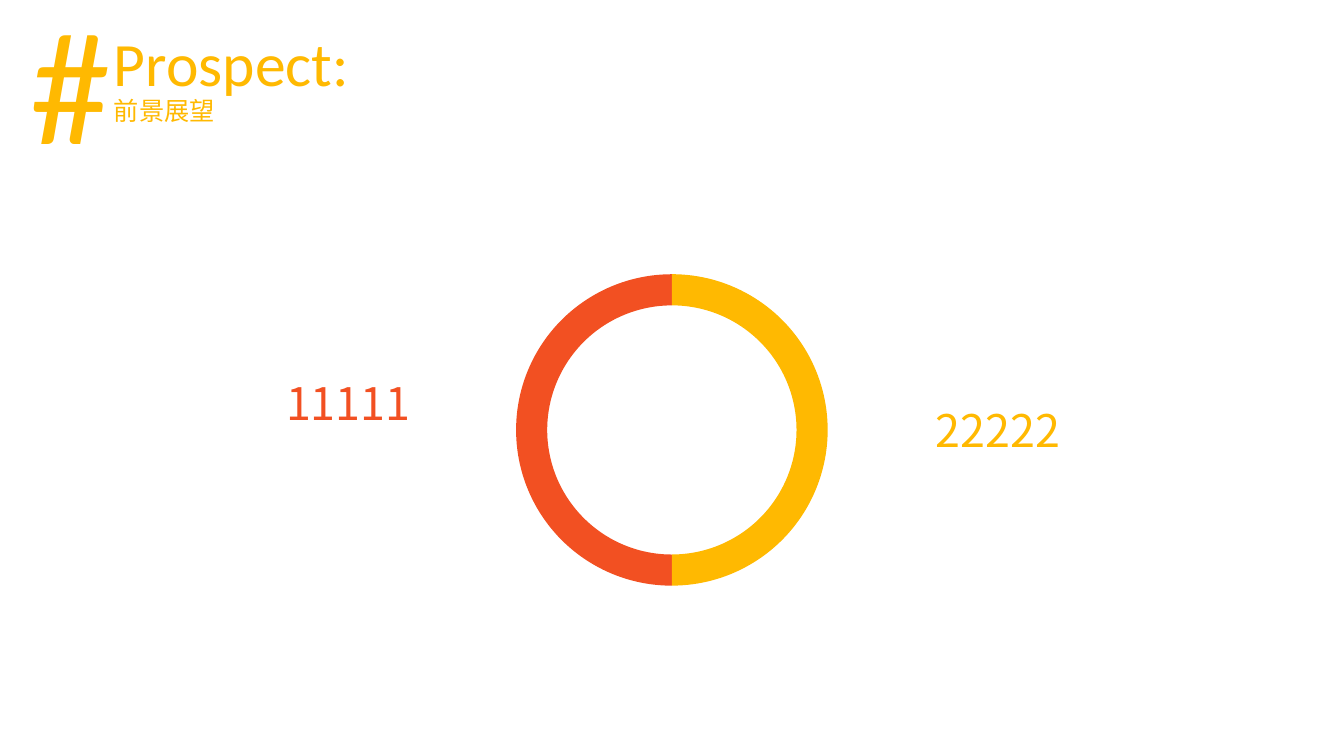
from dataclasses import dataclass

from lxml import etree
from pptx import Presentation
from pptx import util as u
from pptx.dml.color import RGBColor
from pptx.enum import shapes, text
from pptx.oxml import ns
from pptx.shapes.autoshape import Shape
from pptx.slide import Slide

AMBER = RGBColor(0xFF, 0xB9, 0x01)
ORANGE = RGBColor(0xF2, 0x50, 0x22)
LATIN_FONT = "Calibri"
CJK_FONT = "Noto Sans CJK SC"
SLIDE_WIDTH = u.Inches(13.33)
SLIDE_HEIGHT = u.Inches(7.5)


@dataclass(frozen=True)
class Area:
    """Position and size in percent of the slide."""

    left: float
    top: float
    width: float
    height: float

    def lengths(self) -> tuple[int, int, int, int]:
        return (
            round(SLIDE_WIDTH * self.left / 100),
            round(SLIDE_HEIGHT * self.top / 100),
            round(SLIDE_WIDTH * self.width / 100),
            round(SLIDE_HEIGHT * self.height / 100),
        )


@dataclass(frozen=True)
class Label:
    wording: str
    area: Area
    size: float
    color: RGBColor = AMBER
    font: str = LATIN_FONT
    alignment: text.PP_ALIGN = text.PP_ALIGN.LEFT
    anchor: text.MSO_ANCHOR = text.MSO_ANCHOR.TOP
    line_spacing: float = 1.0


@dataclass(frozen=True)
class HalfRing:
    rotation: float
    color: RGBColor


TITLE = Label("Prospect:", Area(7.73, 2.93, 61.35, 11.73), 44,
              anchor=text.MSO_ANCHOR.MIDDLE, line_spacing=0.9)
LABELS = (
    Label("#", Area(1.5, 2.93, 6.23, 18.67), 115,
          anchor=text.MSO_ANCHOR.MIDDLE, line_spacing=0.9),
    Label("前景展望", Area(7.73, 12, 21.38, 5.33), 18),
    Label("11111", Area(15.38, 49.07, 21.08, 8.53), 32, ORANGE, CJK_FONT,
          text.PP_ALIGN.CENTER),
    Label("22222", Area(66.23, 52.67, 16.05, 8.53), 32, AMBER, CJK_FONT,
          text.PP_ALIGN.CENTER),
)
RING_AREA = Area(38.4, 36.27, 23.18, 41.2)
HALF_RINGS = (HalfRing(270, ORANGE), HalfRing(90, AMBER))
ARC_ADJUSTMENTS = (108, 0, 0.1)


def write_label(shape: Shape, label: Label) -> None:
    shape.left, shape.top, shape.width, shape.height = label.area.lengths()
    frame = shape.text_frame
    frame.text = label.wording
    frame.word_wrap = True
    frame.auto_size = text.MSO_AUTO_SIZE.NONE
    frame.vertical_anchor = label.anchor
    paragraph = frame.paragraphs[0]
    paragraph.alignment = label.alignment
    paragraph.line_spacing = label.line_spacing
    run = paragraph.runs[0]
    run.font.name = label.font
    run.font.size = u.Pt(label.size)
    run.font.color.rgb = label.color
    properties = run.font._element
    etree.SubElement(properties, ns.qn("a:ea")).set("typeface", CJK_FONT)


def draw_half_ring(slide: Slide, half: HalfRing) -> None:
    shape = slide.shapes.add_shape(
        shapes.MSO_SHAPE.BLOCK_ARC, *RING_AREA.lengths())
    shape.rotation = half.rotation
    for index, value in enumerate(ARC_ADJUSTMENTS):
        shape.adjustments[index] = value
    shape.shadow.inherit = False
    shape.fill.solid()
    shape.fill.fore_color.rgb = half.color
    shape.line.fill.background()


def main() -> None:
    presentation = Presentation()
    presentation.slide_width = SLIDE_WIDTH
    presentation.slide_height = SLIDE_HEIGHT
    slide = presentation.slides.add_slide(presentation.slide_layouts[5])
    write_label(slide.shapes.title, TITLE)
    for label in LABELS:
        write_label(slide.shapes.add_textbox(*label.area.lengths()), label)
    for half in HALF_RINGS:
        draw_half_ring(slide, half)
    presentation.save("out.pptx")


if __name__ == "__main__":
    main()
